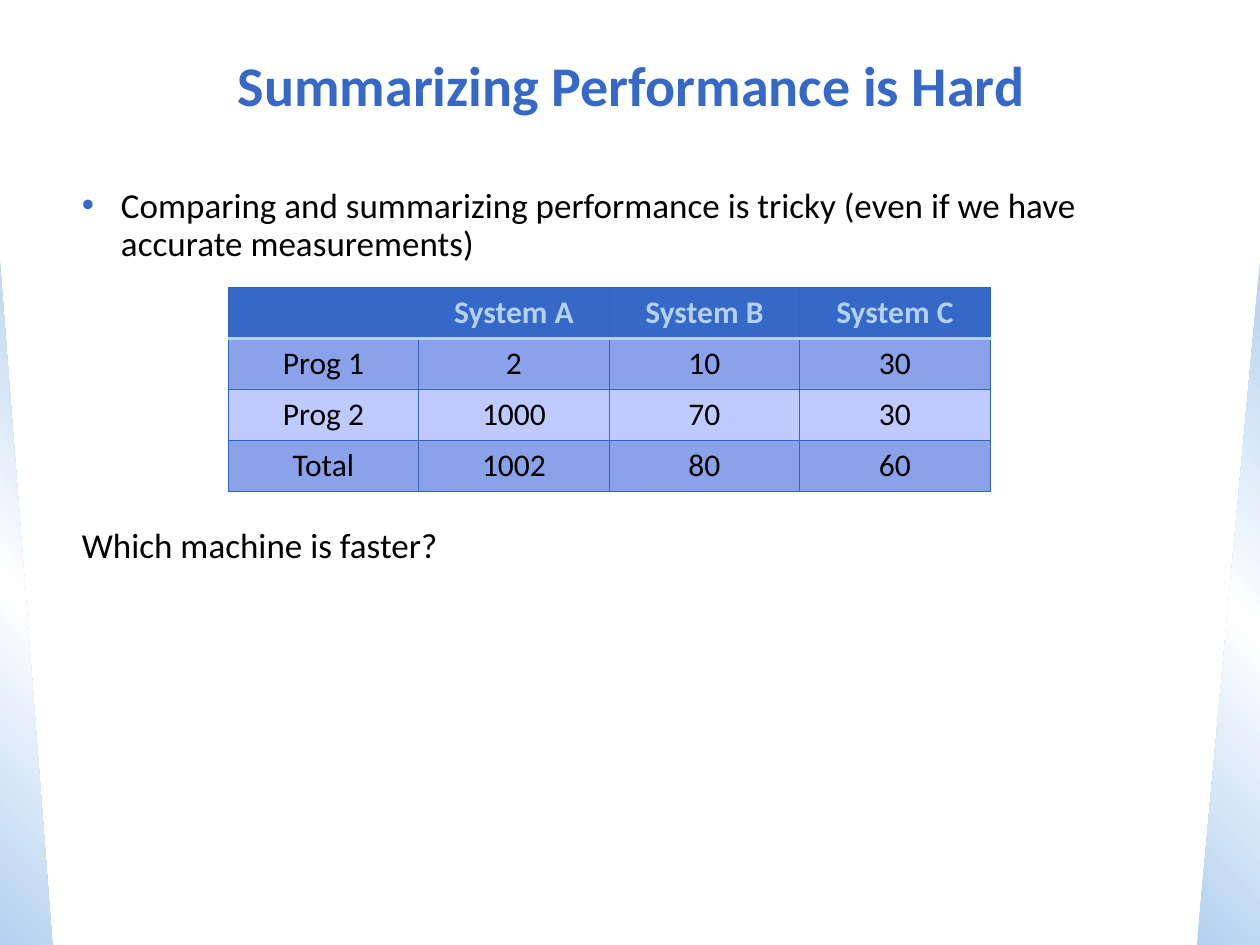
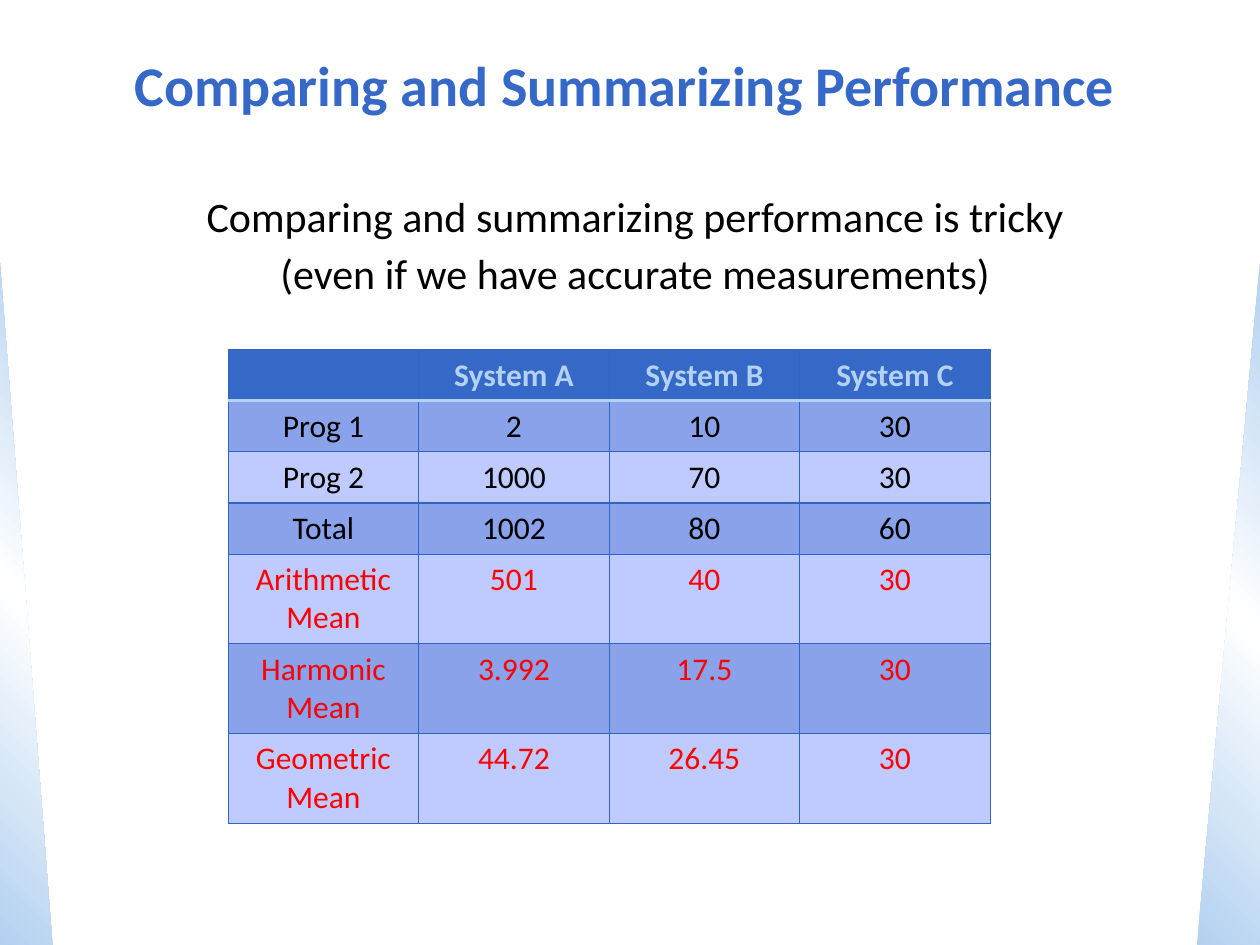
from lxml.etree import SubElement
from pptx import Presentation
from pptx.dml.color import RGBColor
from pptx.enum.shapes import MSO_SHAPE
from pptx.enum.text import MSO_ANCHOR, PP_ALIGN
from pptx.oxml import parse_xml
from pptx.oxml.ns import nsdecls, qn
from pptx.util import Cm, Pt

FONT = "Calibri"
BLUE = "3568C7"
PALE_BLUE = "B3D1F0"
GRID_BLUE = "3065C6"
DARK_ROW = "89A2E9"
LIGHT_ROW = "BFCAFF"
WHITE = "FFFFFF"
BLACK = "000000"
RED = "FF0000"

SLIDE_WIDTH, SLIDE_HEIGHT = 25.4, 19.05
TITLE_BOX = (0.64, 0.64, 23.93, 2.11)
BAND_TOP = 5.29
TABLE_LEFT = 4.6
COLUMN_WIDTH = 3.84
LINE_HEIGHT, TWO_LINE_HEIGHT = 1.03, 1.81

HEADER = ["", "System A", "System B", "System C"]
TIMES = [
    ["Prog 1", "2", "10", "30"],
    ["Prog 2", "1000", "70", "30"],
    ["Total", "1002", "80", "60"],
]
MEANS = [
    ["Arithmetic Mean", "501", "40", "30"],
    ["Harmonic\nMean", "3.992", "17.5", "30"],
    ["Geometric\nMean", "44.72", "26.45", "30"],
]


def rgb(color):
    return RGBColor.from_string(color)


def format_paragraphs(text_frame, size, color, bold=False, align=PP_ALIGN.CENTER):
    for paragraph in text_frame.paragraphs:
        paragraph.alignment = align
        for font in [paragraph.font] + [run.font for run in paragraph.runs]:
            font.name = FONT
            font.size = Pt(size)
            font.bold = bold
            font.color.rgb = rgb(color)


def add_text(slide, box, text, size, color=BLACK, bold=False,
             align=PP_ALIGN.CENTER, anchor=MSO_ANCHOR.TOP):
    text_frame = slide.shapes.add_textbox(*map(Cm, box)).text_frame
    text_frame.word_wrap = True
    text_frame.vertical_anchor = anchor
    text_frame.text = text
    format_paragraphs(text_frame, size, color, bold, align)
    return text_frame


def add_side_band(slide, left, width, angle, flipped=False):
    band = slide.shapes.add_shape(
        MSO_SHAPE.RIGHT_TRIANGLE, Cm(left), Cm(BAND_TOP),
        Cm(width), Cm(SLIDE_HEIGHT - BAND_TOP))
    band.shadow.inherit = False
    band.line.fill.background()
    stops = "".join(
        f'<a:gs pos="{position * 1000}"><a:srgbClr val="{color}"/></a:gs>'
        for position, color in ((0, PALE_BLUE), (50, WHITE), (100, PALE_BLUE)))
    gradient = parse_xml(
        f'<a:gradFill {nsdecls("a")} rotWithShape="1"><a:gsLst>{stops}</a:gsLst>'
        f'<a:lin ang="{angle * 60000}" scaled="1"/></a:gradFill>')
    properties = band._element.spPr
    properties.find(qn("a:prstGeom")).addnext(gradient)
    if flipped:
        properties.find(qn("a:xfrm")).set("flipH", "1")


def add_titled_slide(presentation, title):
    slide = presentation.slides.add_slide(presentation.slide_layouts[6])
    add_side_band(slide, 0, 1.06, 315)
    add_side_band(slide, SLIDE_WIDTH - 1.27, 1.27, 45, flipped=True)
    add_text(slide, TITLE_BOX, title, 32, BLUE, True, anchor=MSO_ANCHOR.MIDDLE)
    return slide


def set_border(cell, side, color, width):
    line = SubElement(cell._tc.get_or_add_tcPr(), qn(f"a:ln{side}"), w=str(Pt(width)))
    fill = SubElement(line, qn("a:solidFill"))
    SubElement(fill, qn("a:srgbClr"), val=color)


def format_cell(cell, text, row_index, color):
    is_header = row_index == 0
    cell.text_frame.text = text
    format_paragraphs(cell.text_frame, 18, color, is_header)
    thick_side = {0: "B", 1: "T"}.get(row_index)
    for side in "LRTB":
        if side == thick_side:
            set_border(cell, side, PALE_BLUE, 2)
        else:
            set_border(cell, side, GRID_BLUE, 0.75)
    cell.fill.solid()
    row_color = DARK_ROW if row_index % 2 else LIGHT_ROW
    cell.fill.fore_color.rgb = rgb(BLUE if is_header else row_color)


def add_timing_table(slide, top, means=()):
    rows = [(HEADER, PALE_BLUE, LINE_HEIGHT)]
    rows += [(values, BLACK, LINE_HEIGHT) for values in TIMES]
    rows += [(values, RED, TWO_LINE_HEIGHT) for values in means]
    table = slide.shapes.add_table(
        len(rows), len(HEADER), Cm(TABLE_LEFT), Cm(top),
        Cm(COLUMN_WIDTH * len(HEADER)), Cm(sum(height for _, _, height in rows))).table
    for column in table.columns:
        column.width = Cm(COLUMN_WIDTH)
    for row_index, (values, color, height) in enumerate(rows):
        table.rows[row_index].height = Cm(height)
        for column_index, text in enumerate(values):
            format_cell(table.cell(row_index, column_index), text, row_index, color)


def add_question_text(slide, box):
    text_frame = add_text(
        slide, box,
        "Comparing and summarizing performance is tricky "
        "(even if we have accurate measurements)\nWhich machine is faster?",
        20, align=PP_ALIGN.LEFT)
    text_frame.margin_left = text_frame.margin_right = Cm(0.18)
    text_frame.margin_top = text_frame.margin_bottom = Cm(0.08)
    statement, question = text_frame.paragraphs
    statement.line_spacing = question.line_spacing = 0.9
    question.space_before = Pt(151)
    properties = statement._p.get_or_add_pPr()
    properties.set("marL", str(Cm(0.79)))
    properties.set("indent", str(-Cm(0.79)))
    bullet_color = SubElement(properties, qn("a:buClr"))
    SubElement(bullet_color, qn("a:srgbClr"), val=BLUE)
    SubElement(properties, qn("a:buFont"), typeface="Arial")
    SubElement(properties, qn("a:buChar"), char="•")
    default_run = properties.find(qn("a:defRPr"))
    if default_run is not None:
        properties.append(default_run)


def add_hard_summary_slide(presentation):
    slide = add_titled_slide(presentation, " Summarizing Performance is Hard")
    add_question_text(slide, (1.47, 3.71, 22.66, 9.65))
    add_timing_table(slide, 5.79)


def add_means_slide(presentation):
    slide = add_titled_slide(presentation, "Comparing and Summarizing Performance")
    text_frame = add_text(
        slide, (1.47, 3.71, 22.86, 2.31),
        "Comparing and summarizing performance is tricky \n"
        "(even if we have accurate measurements) ", 24)
    text_frame.paragraphs[1].space_before = Pt(4)
    add_timing_table(slide, 7.05, MEANS)


def main():
    presentation = Presentation()
    presentation.slide_width = Cm(SLIDE_WIDTH)
    presentation.slide_height = Cm(SLIDE_HEIGHT)
    add_hard_summary_slide(presentation)
    add_means_slide(presentation)
    presentation.save("out.pptx")


if __name__ == "__main__":
    main()
